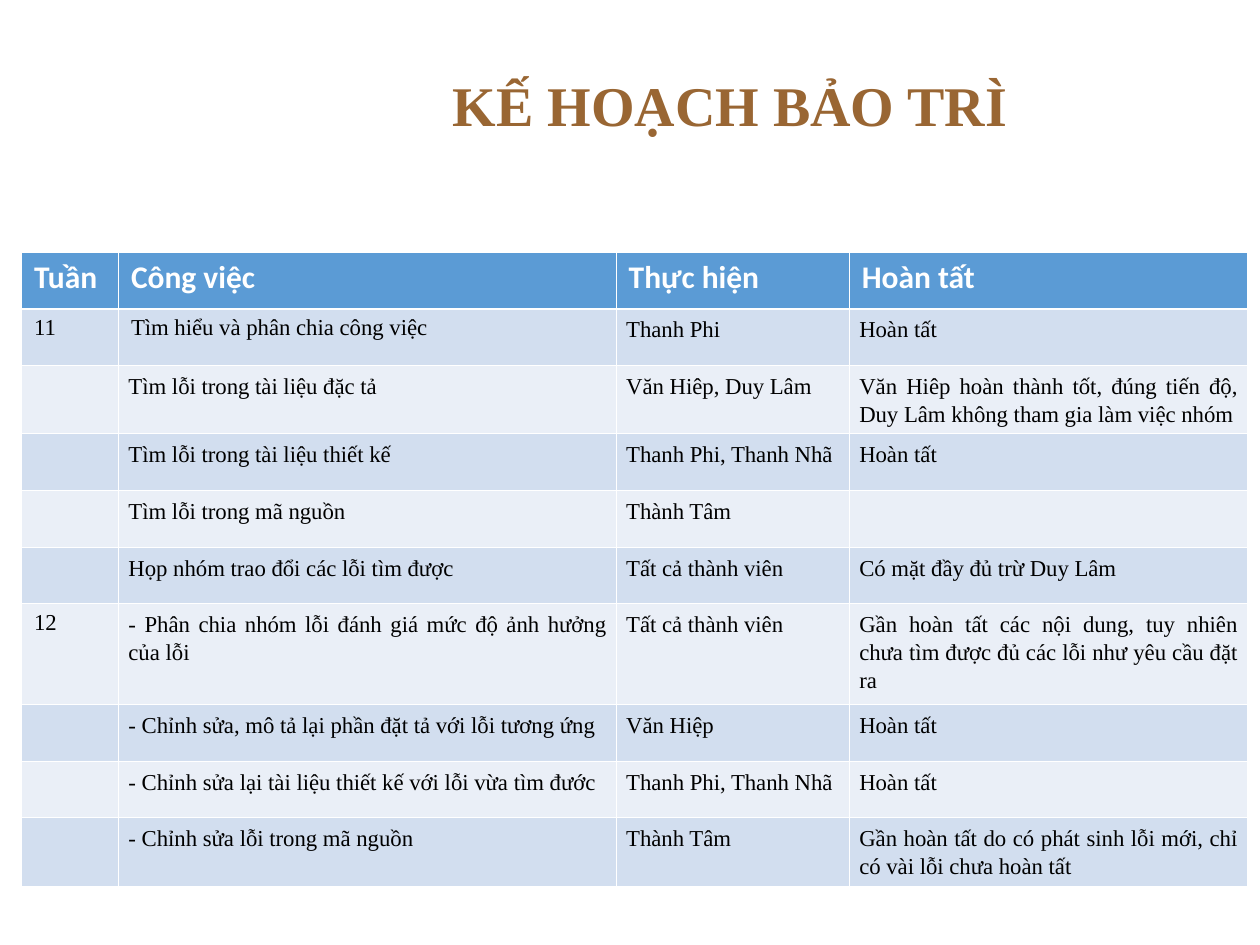
from pptx import Presentation
from pptx.dml.color import RGBColor
from pptx.enum.text import MSO_ANCHOR, PP_ALIGN
from pptx.oxml import parse_xml
from pptx.oxml.ns import nsdecls
from pptx.util import Inches, Pt

TITLE = "KẾ HOẠCH BẢO TRÌ"
HEAD = ("Tuần", "Công việc", "Thực hiện", "Hoàn tất")
TASKS = [
    ("11", "Tìm hiểu và phân chia công việc", "Thanh Phi", "Hoàn tất"),
    ("", "Tìm lỗi trong tài liệu đặc tả", "Văn Hiêp, Duy Lâm",
     "Văn Hiêp hoàn thành tốt, đúng tiến độ, Duy Lâm không tham gia làm việc nhóm"),
    ("", "Tìm lỗi trong tài liệu thiết kế", "Thanh Phi, Thanh Nhã", "Hoàn tất"),
    ("", "Tìm lỗi trong mã nguồn", "Thành Tâm", ""),
    ("", "Họp nhóm trao đổi các lỗi tìm được", "Tất cả thành viên",
     "Có mặt đầy đủ trừ Duy Lâm"),
    ("12", "- Phân chia nhóm lỗi đánh giá mức độ ảnh hưởng của lỗi",
     "Tất cả thành viên",
     "Gần hoàn tất các nội dung, tuy nhiên chưa tìm được đủ các lỗi như yêu cầu đặt ra"),
    ("", "- Chỉnh sửa, mô tả lại phần đặt tả với lỗi tương ứng", "Văn Hiệp", "Hoàn tất"),
    ("", "- Chỉnh sửa lại tài liệu thiết kế với lỗi vừa tìm đước",
     "Thanh Phi, Thanh Nhã", "Hoàn tất"),
    ("", "- Chỉnh sửa lỗi trong mã nguồn", "Thành Tâm",
     "Gần hoàn tất do có phát sinh lỗi mới, chỉ có vài lỗi chưa hoàn tất"),
]
COLS = (0.77, 3.95, 1.85, 3.16)
ROW = 0.45
TALL = {2: 0.53, 6: 0.8, 9: 0.53}
BANDS = ("EAEFF7", "D2DEEF")
SERIF = "Times New Roman"


def color(code):
    return RGBColor.from_string(code)


def style(font, name, size, code, bold=False):
    font.name, font.size, font.bold = name, Pt(size), bold
    font.color.rgb = color(code)


def border(cell, row):
    """Draw thin white edges, with a thicker rule under the header."""
    thick = {0: "B", 1: "T"}.get(row)
    for side in "LRTB":
        width = Pt(1.47 if side == thick else 0.45)
        cell._tc.get_or_add_tcPr().append(parse_xml(
            f'<a:ln{side} {nsdecls("a")} w="{width}"><a:solidFill>'
            f'<a:srgbClr val="FFFFFF"/></a:solidFill></a:ln{side}>'))


def fill_cell(cell, text, row, col):
    border(cell, row)
    cell.fill.solid()
    cell.fill.fore_color.rgb = color(BANDS[row % 2] if row else "5B9BD5")
    cell.text_frame.text = text
    para = cell.text_frame.paragraphs[0]
    if row == 0:
        style(para.font, "Calibri", 18, "FFFFFF", True)
    else:
        style(para.font, SERIF, 13, "000000")
    for run in para.runs:
        if row == 0:
            style(run.font, "Calibri", 18, "FFFFFF", True)
        else:
            style(run.font, SERIF, 13, "000000")
    plain = row == 0 or col == 0 or (row, col) == (1, 1)
    cell.margin_left = cell.margin_right = Inches(0.1 if plain else 0.08)
    cell.margin_top = cell.margin_bottom = Inches(0.05)
    if not plain:
        para.alignment = PP_ALIGN.JUSTIFY
        para.line_spacing = 1.11
        para.space_before = Pt(0 if not text else 6)
        para.space_after = Pt(6)


def add_title(slide):
    title = slide.shapes.title
    title.left, title.top = Inches(1.92), Inches(0.31)
    title.width, title.height = Inches(7.75), Inches(1.03)
    frame = title.text_frame
    frame.text = TITLE
    frame.vertical_anchor = MSO_ANCHOR.MIDDLE
    para = frame.paragraphs[0]
    para.alignment = PP_ALIGN.CENTER
    style(para.runs[0].font, SERIF, 32, "996633", True)


def add_plan(slide):
    rows = [HEAD, *TASKS]
    highs = [TALL.get(i, ROW) for i in range(len(rows))]
    table = slide.shapes.add_table(
        len(rows), len(COLS), Inches(0.17), Inches(2),
        Inches(sum(COLS)), Inches(sum(highs))).table
    for column, width in zip(table.columns, COLS):
        column.width = Inches(width)
    for r, (texts, high) in enumerate(zip(rows, highs)):
        table.rows[r].height = Inches(high)
        for c, text in enumerate(texts):
            fill_cell(table.cell(r, c), text, r, c)


def main():
    deck = Presentation()
    deck.slide_width, deck.slide_height = Inches(10), Inches(7.5)
    slide = deck.slides.add_slide(deck.slide_layouts[5])
    add_title(slide)
    add_plan(slide)
    deck.save("out.pptx")


if __name__ == "__main__":
    main()
